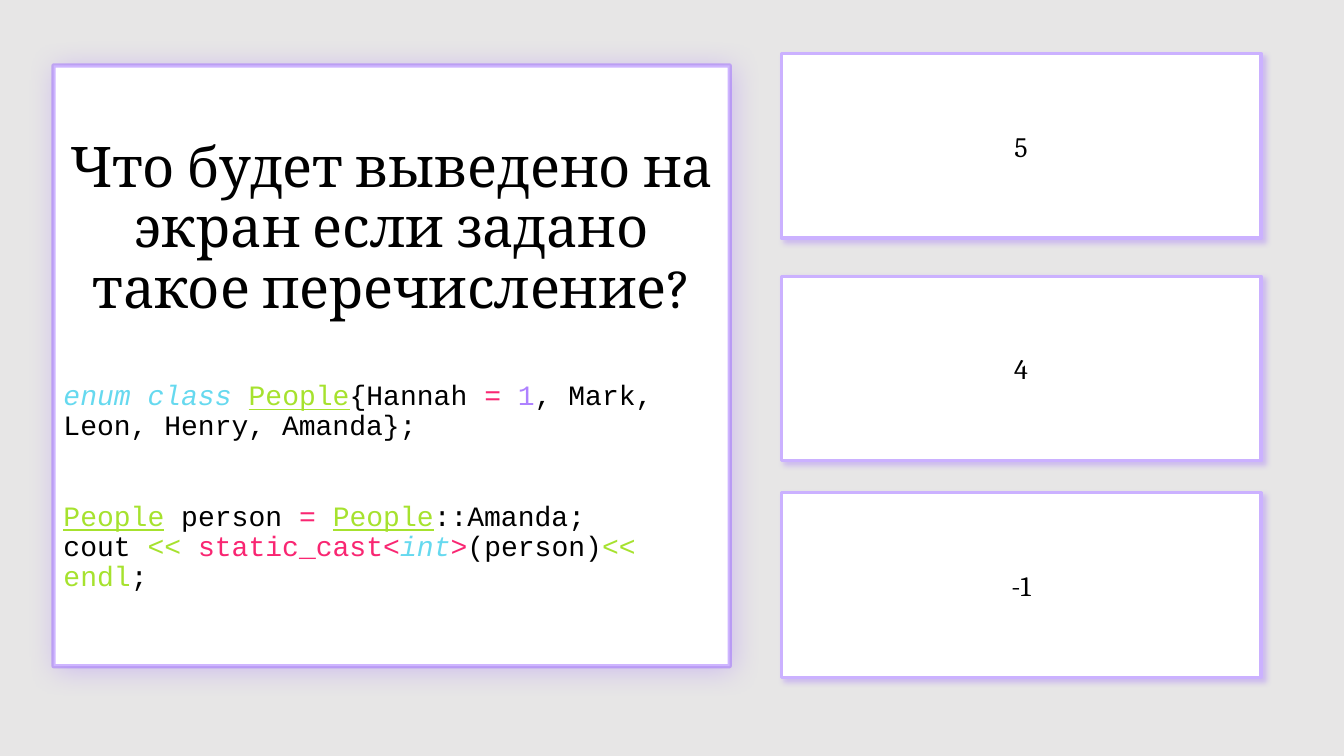
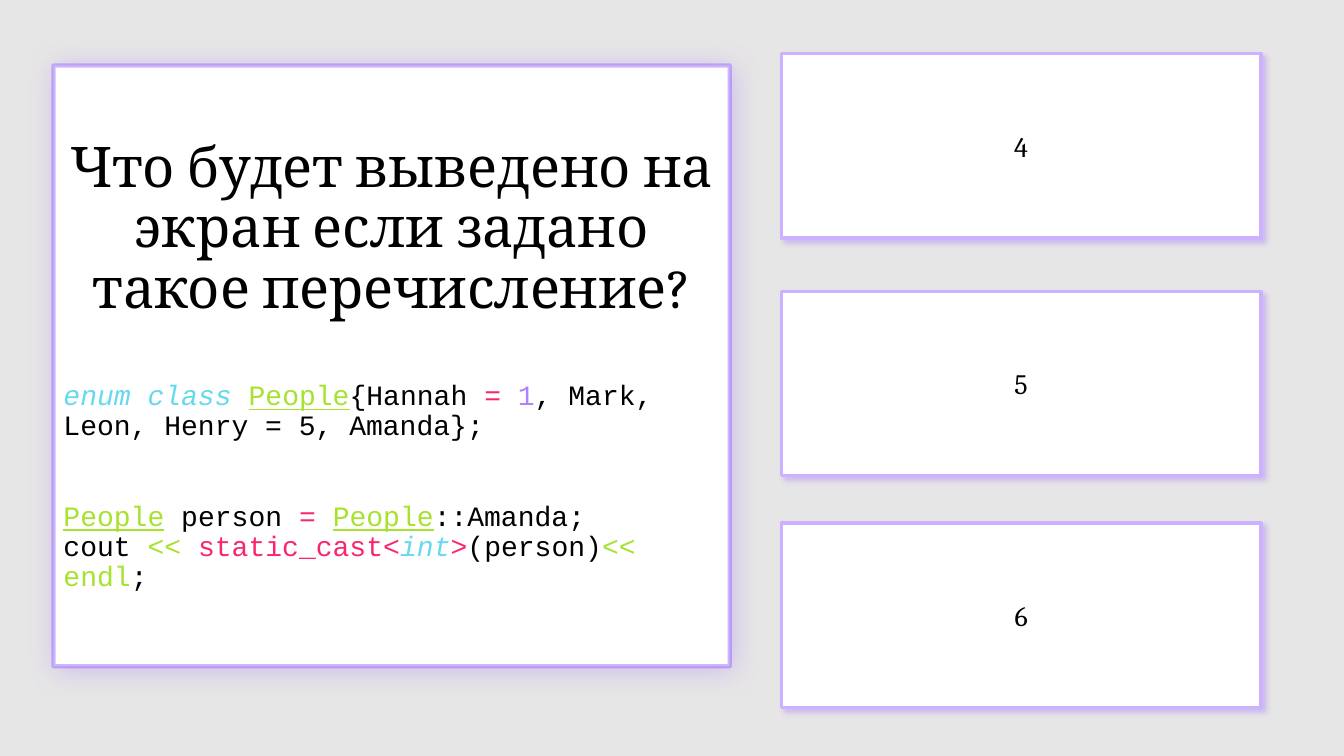
"""Build two quiz slides about C++ enumerations, each with a question and three answers."""

from dataclasses import dataclass

from lxml.etree import SubElement
from pptx import Presentation
from pptx.dml.color import RGBColor
from pptx.enum.shapes import MSO_SHAPE
from pptx.enum.text import MSO_ANCHOR, PP_ALIGN
from pptx.oxml.ns import qn
from pptx.shapes.autoshape import Shape
from pptx.slide import Slide
from pptx.util import Cm, Length, Pt

BACKGROUND = RGBColor(0xE7, 0xE6, 0xE6)
WHITE = RGBColor(0xFF, 0xFF, 0xFF)
BLACK = RGBColor(0x00, 0x00, 0x00)
VIOLET = RGBColor(0x99, 0x66, 0xFF)
LAVENDER = RGBColor(0xCB, 0xB1, 0xFF)
CYAN = RGBColor(0x66, 0xD9, 0xEF)
GREEN = RGBColor(0xA6, 0xE2, 0x2E)
PINK = RGBColor(0xF9, 0x26, 0x72)
PURPLE = RGBColor(0xAE, 0x81, 0xFF)

TEXT_FONT = "Cambria"
CODE_FONT = "Courier New"
LINE_SPACING = 0.9
SECTION_GAP = Pt(43.2)
QUESTION = "Что будет выведено на экран если задано такое перечисление?"


@dataclass(frozen=True)
class Token:
    text: str
    color: RGBColor = BLACK
    italic: bool = False
    underline: bool = False


@dataclass(frozen=True)
class CodeLine:
    tokens: tuple[Token, ...]
    space_before: Length = Pt(0)


@dataclass(frozen=True)
class Answer:
    text: str
    top: Length


@dataclass(frozen=True)
class Quiz:
    last_names: str
    answers: tuple[Answer, ...]


@dataclass(frozen=True)
class PanelStyle:
    line_color: RGBColor
    line_width: Length
    line_opacity: int
    shadow_opacity: int
    shadow_blur: Length


ANSWER_STYLE = PanelStyle(LAVENDER, Pt(2.25), 100, 32, Pt(4))
QUESTION_STYLE = PanelStyle(VIOLET, Pt(3), 47, 34, Pt(20))
TYPE_NAME = Token("People", GREEN, underline=True)
EQUALS = Token("= ", PINK)

QUIZZES = (
    Quiz("Henry", (
        Answer("5", Cm(1.35)), Answer("4", Cm(6.96)), Answer("-1", Cm(12.42)),
    )),
    Quiz("Henry = 5", (
        Answer("4", Cm(1.35)), Answer("5", Cm(7.34)), Answer("6", Cm(13.18)),
    )),
)


def code_lines(last_names: str) -> tuple[CodeLine, ...]:
    return (
        CodeLine((
            Token("enum class ", CYAN, italic=True), TYPE_NAME, Token("{Hannah "),
            EQUALS, Token("1", PURPLE), Token(f", Mark, Leon, {last_names}, Amanda}};"),
        ), SECTION_GAP),
        CodeLine((
            TYPE_NAME, Token(" person "), EQUALS, TYPE_NAME, Token("::Amanda;"),
        ), SECTION_GAP),
        CodeLine((
            Token("cout "), Token("<< ", GREEN), Token("static_cast<", PINK),
            Token("int", CYAN, italic=True), Token(">", PINK), Token("(person)"),
            Token("<< endl", GREEN), Token(";"),
        )),
    )


def add_alpha(color_element, percent: int) -> None:
    SubElement(color_element, qn("a:alpha"), val=str(percent * 1000))


def add_panel(slide: Slide, left: Length, top: Length, width: Length, height: Length,
              style: PanelStyle) -> Shape:
    shape = slide.shapes.add_shape(MSO_SHAPE.RECTANGLE, left, top, width, height)
    shape.fill.solid()
    shape.fill.fore_color.rgb = WHITE
    shape.line.color.rgb = style.line_color
    shape.line.width = style.line_width
    shape.shadow.inherit = False
    properties = shape._element.spPr
    if style.line_opacity < 100:
        line_path = f"{qn('a:ln')}/{qn('a:solidFill')}/{qn('a:srgbClr')}"
        add_alpha(properties.find(line_path), style.line_opacity)
    shadow = SubElement(
        properties.find(qn("a:effectLst")), qn("a:outerShdw"),
        blurRad=str(style.shadow_blur), dist=str(Pt(3)), dir=str(45 * 60000),
        algn="ctr", rotWithShape="0",
    )
    add_alpha(SubElement(shadow, qn("a:srgbClr"), val=str(VIOLET)), style.shadow_opacity)
    shape.text_frame.word_wrap = True
    shape.text_frame.vertical_anchor = MSO_ANCHOR.MIDDLE
    return shape


def write_text(shape: Shape, text: str, size: Length) -> None:
    paragraph = shape.text_frame.paragraphs[0]
    paragraph.text = text
    paragraph.alignment = PP_ALIGN.CENTER
    paragraph.font.name = TEXT_FONT
    paragraph.font.size = size
    paragraph.font.color.rgb = BLACK


def add_code_line(shape: Shape, line: CodeLine) -> None:
    paragraph = shape.text_frame.add_paragraph()
    paragraph.alignment = PP_ALIGN.LEFT
    paragraph.line_spacing = LINE_SPACING
    paragraph.space_before = line.space_before
    paragraph.font.name = CODE_FONT
    paragraph.font.size = Pt(20)
    for token in line.tokens:
        run = paragraph.add_run()
        run.text = token.text
        run.font.color.rgb = token.color
        run.font.italic = token.italic
        run.font.underline = token.underline


def add_answer(slide: Slide, answer: Answer) -> None:
    shape = add_panel(slide, Cm(19.69), answer.top, Cm(12.09), Cm(4.65), ANSWER_STYLE)
    frame = shape.text_frame
    frame.margin_left = frame.margin_right = frame.margin_top = frame.margin_bottom = 0
    write_text(shape, answer.text, Pt(20))


def add_question(slide: Slide, last_names: str) -> None:
    shape = add_panel(slide, Cm(1.35), Cm(1.65), Cm(17.04), Cm(15.14), QUESTION_STYLE)
    write_text(shape, QUESTION, Pt(40))
    shape.text_frame.paragraphs[0].line_spacing = LINE_SPACING
    for line in code_lines(last_names):
        add_code_line(shape, line)


def main() -> None:
    presentation = Presentation()
    presentation.slide_width = Cm(33.87)
    presentation.slide_height = Cm(19.05)
    for quiz in QUIZZES:
        slide = presentation.slides.add_slide(presentation.slide_layouts[6])
        slide.background.fill.solid()
        slide.background.fill.fore_color.rgb = BACKGROUND
        for answer in quiz.answers:
            add_answer(slide, answer)
        add_question(slide, quiz.last_names)
    presentation.save("out.pptx")


if __name__ == "__main__":
    main()
